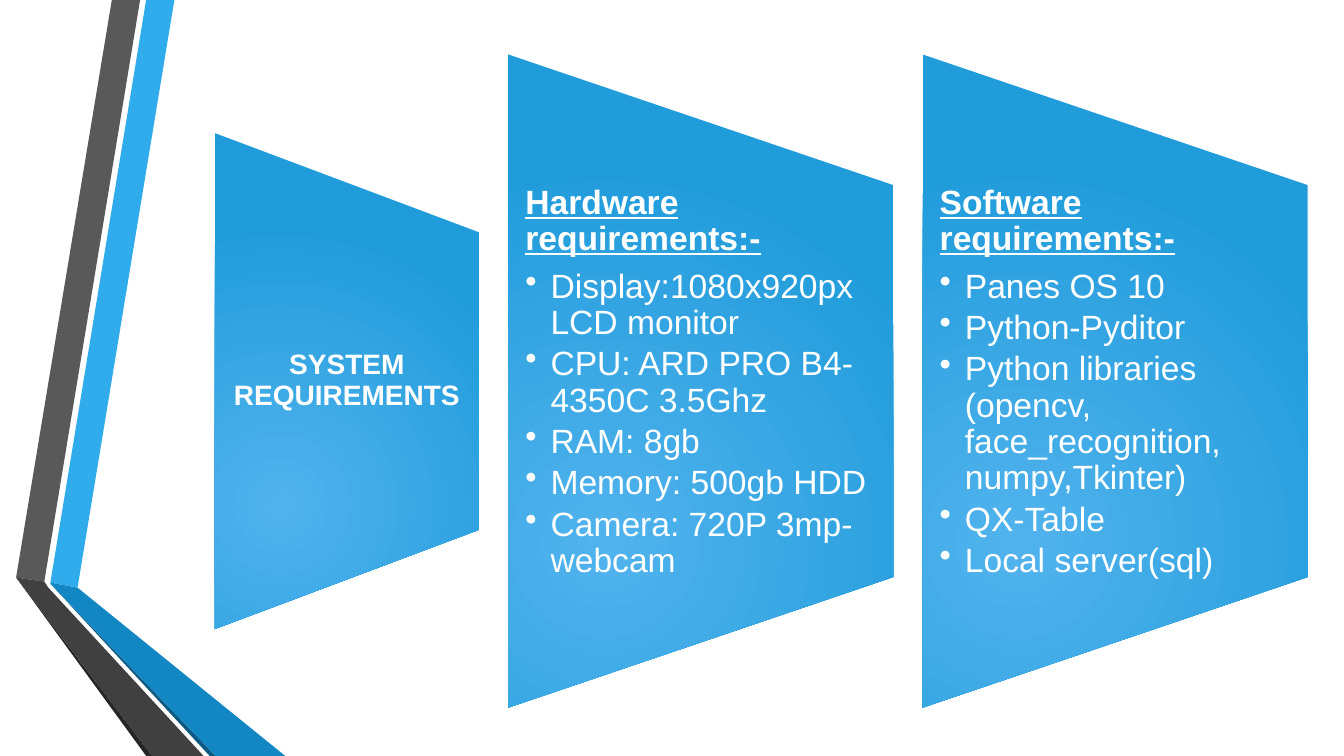
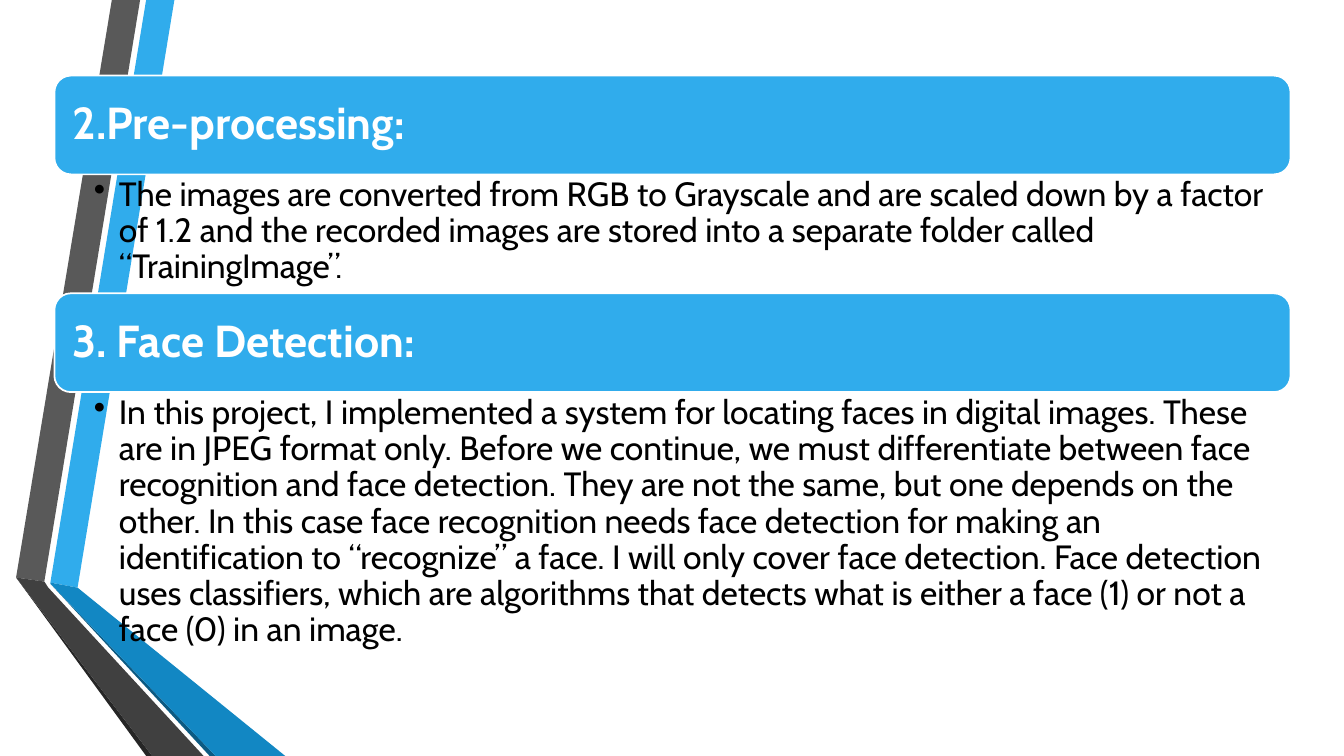
"""Build two slides: system requirements, and the image processing steps."""
from lxml.etree import SubElement as Sub
from pptx import Presentation
from pptx.dml.color import RGBColor
from pptx.enum.shapes import MSO_SHAPE as Geo
from pptx.enum.text import MSO_ANCHOR as Anchor, PP_ALIGN as Align
from pptx.oxml.ns import qn
from pptx.util import Inches, Pt

SKY, WHITE, BLACK = "30ACEC", "FFFFFF", "000000"
GLOW, EDGE = "51B3ED", "219CDB"


def tint(hue):
    return RGBColor.from_string(hue)


def write(shape, lines, pads, anchor, font, hue):
    """Fill a shape with (text, size, bold, underline, bullet, gap) lines."""
    frame = shape.text_frame
    frame.word_wrap = True
    frame.vertical_anchor = anchor
    (frame.margin_left, frame.margin_top,
     frame.margin_right, frame.margin_bottom) = map(Inches, pads)
    for i, (text, size, bold, under, dot, gap) in enumerate(lines):
        para = frame.add_paragraph() if i else frame.paragraphs[0]
        para.alignment = Align.LEFT
        para.line_spacing = 0.9
        para.space_after = Pt(size * gap)
        if dot:
            para.level = 1
            props = para._p.get_or_add_pPr()
            props.set("marL", str(Inches(0.25)))
            props.set("indent", str(Inches(-0.25)))
            Sub(props, qn("a:buChar"), char="•")
        run = para.add_run()
        run.text = text
        run.font.name, run.font.size = font, Pt(size)
        run.font.bold, run.font.underline = bold, under
        run.font.color.rgb = tint(hue)


deck = Presentation()
deck.slide_width, deck.slide_height = Inches(13.33), Inches(7.5)
blank = deck.slide_layouts[6]
needs = deck.slides.add_slide(blank)
steps = deck.slides.add_slide(blank)

bands = [
    (SKY, [(0.5, 5.78), (0.77, 5.83), (1.73, 0), (1.45, 0)]),
    ("595959", [(1.39, 0), (1.11, 0), (0.16, 5.73), (0.44, 5.77)]),
    ("262626", [(0.16, 5.73), (1.45, 7.5), (1.51, 7.5)]),
    ("0C5A82", [(0.5, 5.79), (2.08, 7.5), (2.14, 7.5)]),
    ("1287C3", [(0.5, 5.79), (2.14, 7.5), (2.83, 7.5), (0.77, 5.83), (0.5, 5.78)]),
    ("404040", [(2.02, 7.5), (0.48, 5.83), (0.44, 5.77), (0.16, 5.73), (1.51, 7.5)]),
]
for hue, spots in bands:
    spots = [(Inches(x), Inches(y)) for x, y in spots]
    pen = needs.shapes.build_freeform(*spots[0])
    pen.add_line_segments(spots[1:], close=True)
    band = pen.convert_to_shape()
    band.fill.solid()
    band.fill.fore_color.rgb = tint(hue)
    band.line.fill.background()
    band.shadow.inherit = False
    blank.shapes.element.append(band.element)

panels = [
    (2.62, 4.92, "SYSTEM REQUIREMENTS", []),
    (3.82, 6.48, "Hardware requirements:-", [
        "Display:1080x920px LCD monitor", "CPU: ARD PRO B4-4350C 3.5Ghz",
        "RAM: 8gb", "Memory: 500gb HDD", "Camera: 720P 3mp-webcam"]),
    (3.82, 6.48, "Software requirements:-", [
        "Panes OS 10", "Python-Pyditor",
        "Python libraries (opencv, face_recognition, numpy,Tkinter)",
        "QX-Table", "Local server(sql)"]),
]
left, mid = 2.13, 3.78
for wide, tall, head, items in panels:
    panel = needs.shapes.add_shape(
        Geo.FLOWCHART_MANUAL_OPERATION, Inches(left + (wide - tall) / 2),
        Inches(mid - wide / 2), Inches(tall), Inches(wide))
    panel.rotation = 270
    panel.shadow.inherit = False
    panel.line.fill.background()
    panel.fill.gradient()
    for stop, hue in zip(panel.fill.gradient_stops, (GLOW, EDGE)):
        stop.color.rgb = tint(hue)
    grad = panel.element.spPr.find(qn("a:gradFill"))
    grad.remove(grad.find(qn("a:lin")))
    ring = Sub(grad, qn("a:path"), path="circle")
    Sub(ring, qn("a:fillToRect"), l="50000", t="100000", r="100000", b="50000")
    box = needs.shapes.add_textbox(
        Inches(left), Inches(mid - 0.3 * tall), Inches(wide), Inches(0.6 * tall))
    pad = 0.17 if items else 0.14
    lines = [(head, 24 if items else 20, True, bool(items), False, 0.35)]
    lines += [(item, 24, False, False, True, 0.15) for item in items]
    write(box, lines, (pad, 0, pad, 0), Anchor.TOP if items else Anchor.MIDDLE,
          "Arial", WHITE)
    if not items:
        box.text_frame.paragraphs[0].alignment = Align.CENTER
    left += wide + 0.29

parts = [
    ("2.Pre-processing:", 1.18,
     "The images are converted from RGB to Grayscale and are scaled down by a "
     "factor of 1.2 and the recorded images are stored into a separate folder "
     "called “TrainingImage”."),
    ("3. Face Detection:", 2.65,
     "In this project, I implemented a system for locating faces in digital "
     "images. These are in JPEG format only. Before we continue, we must "
     "differentiate between face recognition and face detection. They are not "
     "the same, but one depends on the other. In this case face recognition "
     "needs face detection for making an identification to “recognize” a face. "
     "I will only cover face detection. Face detection uses classifiers, which "
     "are algorithms that detects what is either a face (1) or not a face (0) "
     "in an image."),
]
left, top, wide, tall = 0.54, 0.75, 12.26, 0.98
for head, deep, text in parts:
    bar = steps.shapes.add_shape(
        Geo.ROUNDED_RECTANGLE, Inches(left), Inches(top), Inches(wide), Inches(tall))
    bar.shadow.inherit = False
    bar.fill.solid()
    bar.fill.fore_color.rgb = tint(SKY)
    bar.line.color.rgb = tint(WHITE)
    bar.line.width = Pt(1.25)
    write(bar, [(head, 32, True, False, False, 0.35)], [0.13] * 4,
          Anchor.MIDDLE, "Cabin", WHITE)
    top += tall
    body = steps.shapes.add_textbox(
        Inches(left), Inches(top), Inches(wide), Inches(deep))
    write(body, [(text, 24, False, False, True, 0.2)], (0.39, 0.03, 0.19, 0.03),
          Anchor.TOP, "Cabin", BLACK)
    top += deep

deck.save("out.pptx")
